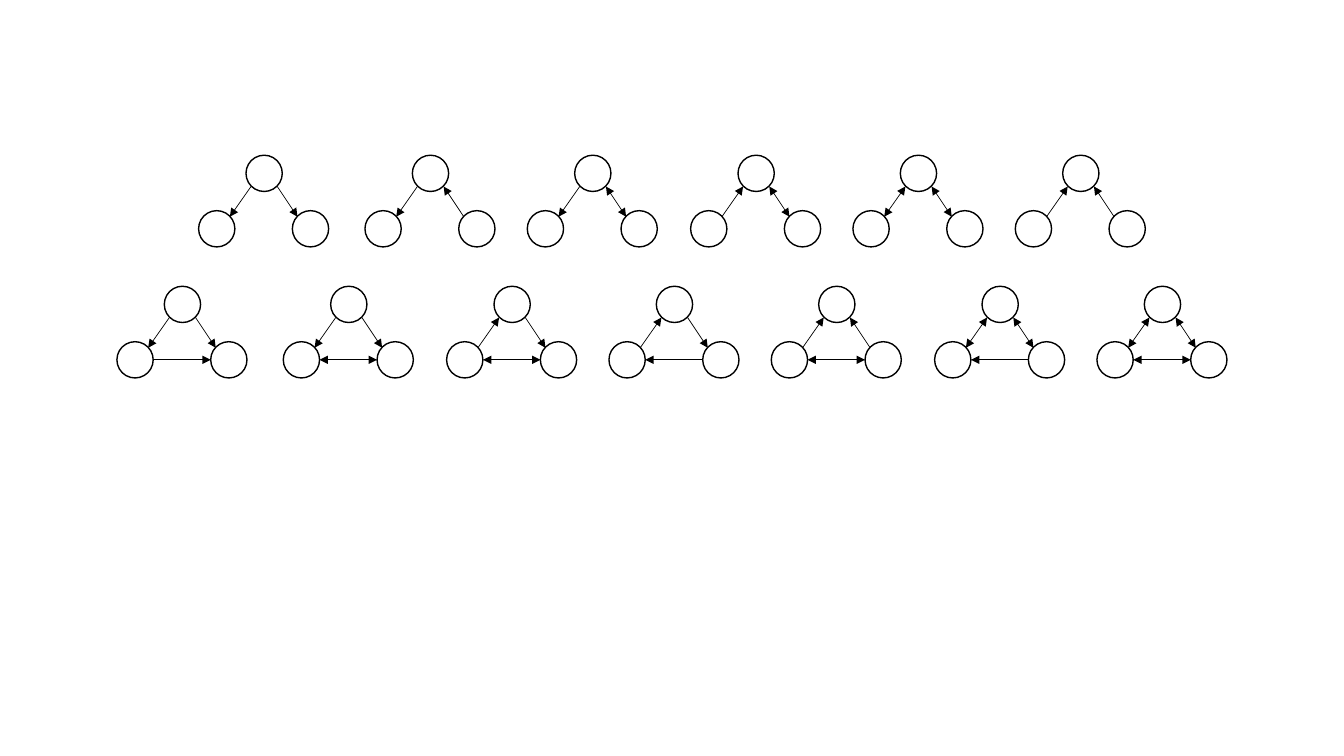
import pptx
import pptx.dml.color
import pptx.enum.shapes
import pptx.oxml
import pptx.oxml.ns
import pptx.util

PX = 9144  # EMU, 100 px to the inch
NODE = 36
PITCH = 161.3
FIRST_STEP = 165  # the first triad of each row stands a little apart

# Node corners and edges, relative to the top left of a triad
NODES = [(0, 55), (47, 0), (93, 55)]
EDGES = [
    ((31, 61), (52, 31)),  # left node to top node
    ((98, 61), (78, 31)),  # right node to top node
    ((93, 73), (36, 73)),  # right node to left node
]

# Per triad, the heads on its edges: "<" at the start, ">" at the end
OPEN_TRIADS = [("<", "<"), ("<", ">"), ("<", "<>"),
               (">", "<>"), ("<>", "<>"), (">", ">")]
CLOSED_TRIADS = [("<", "<", "<"), ("<", "<", "<>"), (">", "<", "<>"),
                 (">", "<", ">"), (">", ">", "<>"), ("<>", "<>", ">"),
                 ("<>", "<>", "<>")]


def px(length):
    return pptx.util.Emu(length * PX)


def color(hex_value):
    return pptx.dml.color.RGBColor.from_string(hex_value)


class MotifSlide:
    INK = "000000"
    NODE_LINE = {"width": pptx.util.Pt(1)}
    EDGE_LINE = {"width": pptx.util.Pt(0.5)}

    def __init__(self, deck):
        self.slide = deck.slides.add_slide(deck.slide_layouts[6])

    def style_line(self, line, values):
        line.fill.solid()
        line.fill.fore_color.rgb = color(self.INK)
        for name, value in values.items():
            setattr(line, name, value)

    def node(self, group, x, y):
        circle = group.shapes.add_shape(
            pptx.enum.shapes.MSO_SHAPE.OVAL, px(x), px(y), px(NODE), px(NODE))
        circle.shadow.inherit = False
        circle.fill.background()
        self.style_line(circle.line, self.NODE_LINE)

    def edge(self, group, start, end, heads):
        arrow = group.shapes.add_connector(
            pptx.enum.shapes.MSO_CONNECTOR.STRAIGHT, *map(px, start + end))
        self.style_line(arrow.line, self.EDGE_LINE)
        properties = arrow._element.spPr
        outline = properties.find(pptx.oxml.ns.qn("a:ln"))
        for mark, tag in (("<", "a:headEnd"), (">", "a:tailEnd")):
            if mark in heads:
                end_mark = pptx.oxml.parse_xml(
                    f'<{tag} {pptx.oxml.ns.nsdecls("a")} type="triangle"/>')
                outline.append(end_mark)
        properties.append(pptx.oxml.parse_xml(
            f'<a:effectLst {pptx.oxml.ns.nsdecls("a")}/>'))

    def triad(self, left, top, edge_heads):
        group = self.slide.shapes.add_group_shape()
        for x, y in NODES:
            self.node(group, left + x, top + y)
        for (start, end), heads in zip(EDGES, edge_heads):
            self.edge(group, (left + start[0], top + start[1]),
                      (left + end[0], top + end[1]), heads)

    def row(self, second_left, top, triads):
        for index, edge_heads in enumerate(triads):
            offset = (index - 1) * PITCH if index else -FIRST_STEP
            self.triad(round(second_left + offset), top, edge_heads)


def main():
    deck = pptx.Presentation()
    deck.slide_width, deck.slide_height = px(1333), px(750)
    motifs = MotifSlide(deck)

    # Triads with two edges, then triads with three
    motifs.row(362, 154, OPEN_TRIADS)
    motifs.row(281.4, 284, CLOSED_TRIADS)
    deck.save("out.pptx")


if __name__ == "__main__":
    main()
